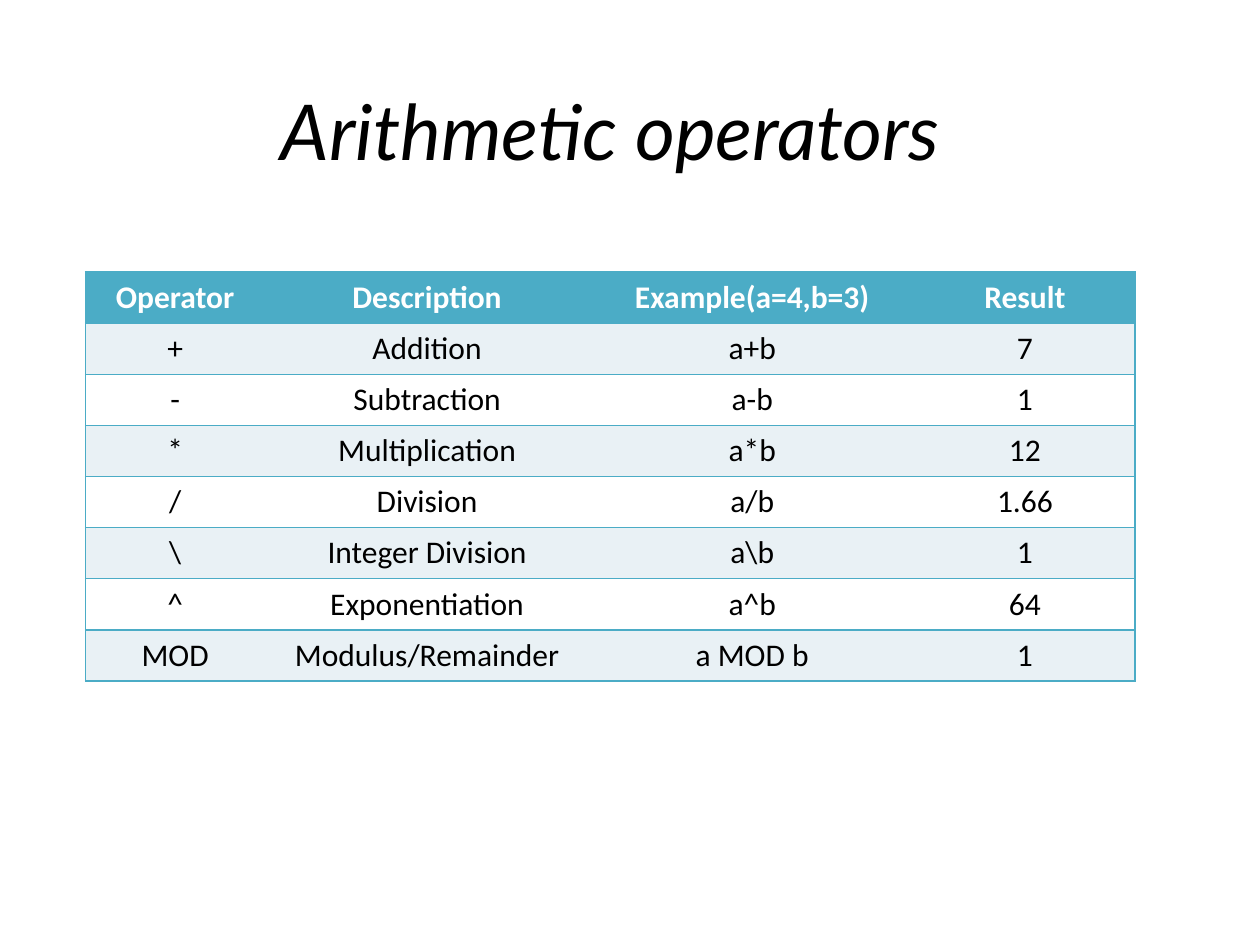
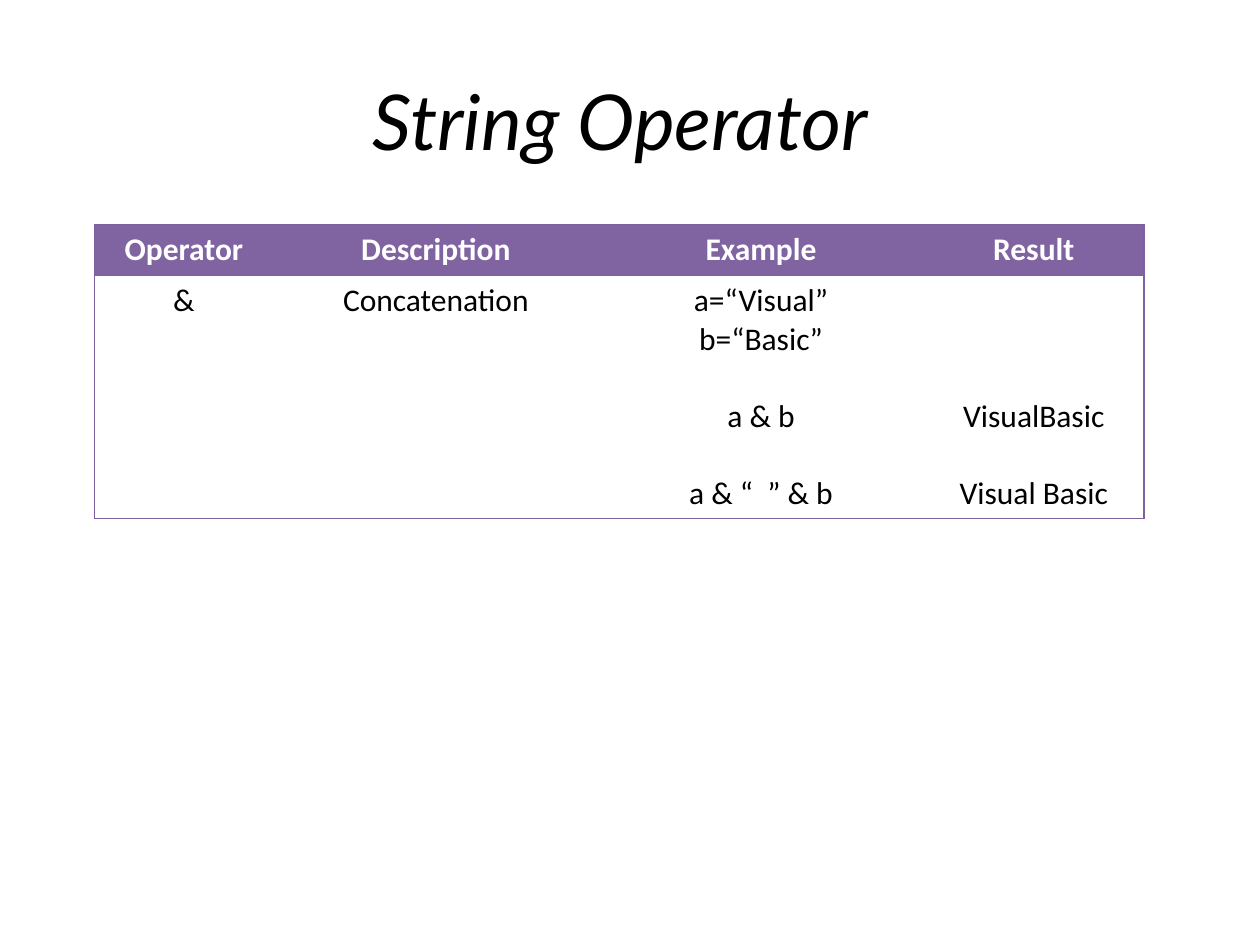
from dataclasses import dataclass

from lxml.etree import SubElement as Sub
from pptx import Presentation
from pptx.dml.color import RGBColor as Rgb
from pptx.enum.text import MSO_ANCHOR as Anchor, PP_ALIGN as Align
from pptx.oxml.ns import qn
from pptx.util import Inches, Pt


@dataclass(frozen=True)
class Theme:
    ink: str = "000000"
    paper: str = "FFFFFF"
    teal: str = "4BACC6"
    tint: str = "E9F1F5"
    plum: str = "8064A2"
    edge: str = "7D60A0"
    head: str = "Lato"
    body: str = "Calibri"
    big: int = 44
    size: int = 18
    line: int = 22


T = Theme()
COLS = (1.42, 2.58, 2.58, 1.75)
WIDTH = sum(COLS)
ROW = 0.405

SLIDES = [
    {
        "title": "Arithmetic operators",
        "spot": (0.68, 0.28),
        "place": (0.68, 2.16),
        "fill": T.teal,
        "bands": (T.tint, T.paper),
        "line": (T.teal, 1),
        "ruled": True,
        "heights": [ROW] * 8,
        "rows": [
            ("Operator", "Description", "Example(a=4,b=3)", "Result"),
            ("+", "Addition", "a+b", "7"),
            ("-", "Subtraction", "a-b", "1"),
            ("*", "Multiplication", "a*b", "12"),
            ("/", "Division", "a/b", "1.66"),
            ("\\", "Integer Division", "a\\b", "1"),
            ("^", "Exponentiation", "a^b", "64"),
            ("MOD", "Modulus/Remainder", "a MOD b", "1"),
        ],
        "low": (),
        "gaps": (),
    },
    {
        "title": "String Operator",
        "spot": (0.76, 0.2),
        "place": (0.75, 1.78),
        "fill": T.plum,
        "bands": (T.paper,),
        "line": (T.edge, 0.75),
        "ruled": False,
        "heights": [ROW, 1.93],
        "rows": [
            ("Operator", "Description", "Example", "Result"),
            (
                "&",
                "Concatenation",
                "a=“Visual”\nb=“Basic”\na & b\na & “  ” & b",
                "VisualBasic\nVisual Basic",
            ),
        ],
        "low": ("VisualBasic\nVisual Basic",),
        "gaps": ("a & b", "a & “  ” & b", "Visual Basic"),
    },
]


def style(para, font, size, color, bold=False, italic=False):
    para.alignment = Align.CENTER
    para.font.name = font
    para.font.size = Pt(size)
    para.font.color.rgb = Rgb.from_string(color)
    para.font.bold = bold
    para.font.italic = italic


def border(cell, sides, color, width):
    props = cell._tc.get_or_add_tcPr()
    for side in "LRTB":
        line = Sub(props, qn(f"a:ln{side}"), w=str(Pt(width)))
        if side in sides:
            fill = Sub(line, qn("a:solidFill"))
            Sub(fill, qn("a:srgbClr"), val=color)
        else:
            Sub(line, qn("a:noFill"))


def add_title(slide, data):
    title = slide.shapes.title
    title.left, title.top = map(Inches, data["spot"])
    title.width, title.height = Inches(WIDTH), Inches(1.5)
    frame = title.text_frame
    frame.text = data["title"]
    frame.vertical_anchor = Anchor.MIDDLE
    style(frame.paragraphs[0], T.head, T.big, T.ink, italic=True)


def add_grid(slide, data):
    rows, tall = data["rows"], data["heights"]
    left, top = data["place"]
    grid = slide.shapes.add_table(
        len(rows), len(COLS), Inches(left), Inches(top), Inches(WIDTH), Inches(sum(tall))
    ).table
    for col, width in zip(grid.columns, COLS):
        col.width = Inches(width)
    for row, height in zip(grid.rows, tall):
        row.height = Inches(height)
    bands = data["bands"]
    for r, row in enumerate(rows):
        first = r == 0
        fill = data["fill"] if first else bands[(r - 1) % len(bands)]
        for c, text in enumerate(row):
            cell = grid.cell(r, c)
            sides = "TB" if data["ruled"] or len(rows) == 2 else ""
            sides += "L" if c == 0 else ""
            sides += "R" if c == len(COLS) - 1 else ""
            border(cell, sides, *data["line"])
            cell.fill.solid()
            cell.fill.fore_color.rgb = Rgb.from_string(fill)
            cell.text = text
            if text in data["low"]:
                cell.vertical_anchor = Anchor.BOTTOM
            for para in cell.text_frame.paragraphs:
                style(para, T.body, T.size, T.paper if first else T.ink, bold=first)
                if para.text in data["gaps"]:
                    para.space_before = Pt(T.line)


def main():
    deck = Presentation()
    deck.slide_width, deck.slide_height = Inches(10), Inches(7.5)
    for data in SLIDES:
        slide = deck.slides.add_slide(deck.slide_layouts[5])
        add_title(slide, data)
        add_grid(slide, data)
    deck.save("out.pptx")


if __name__ == "__main__":
    main()
